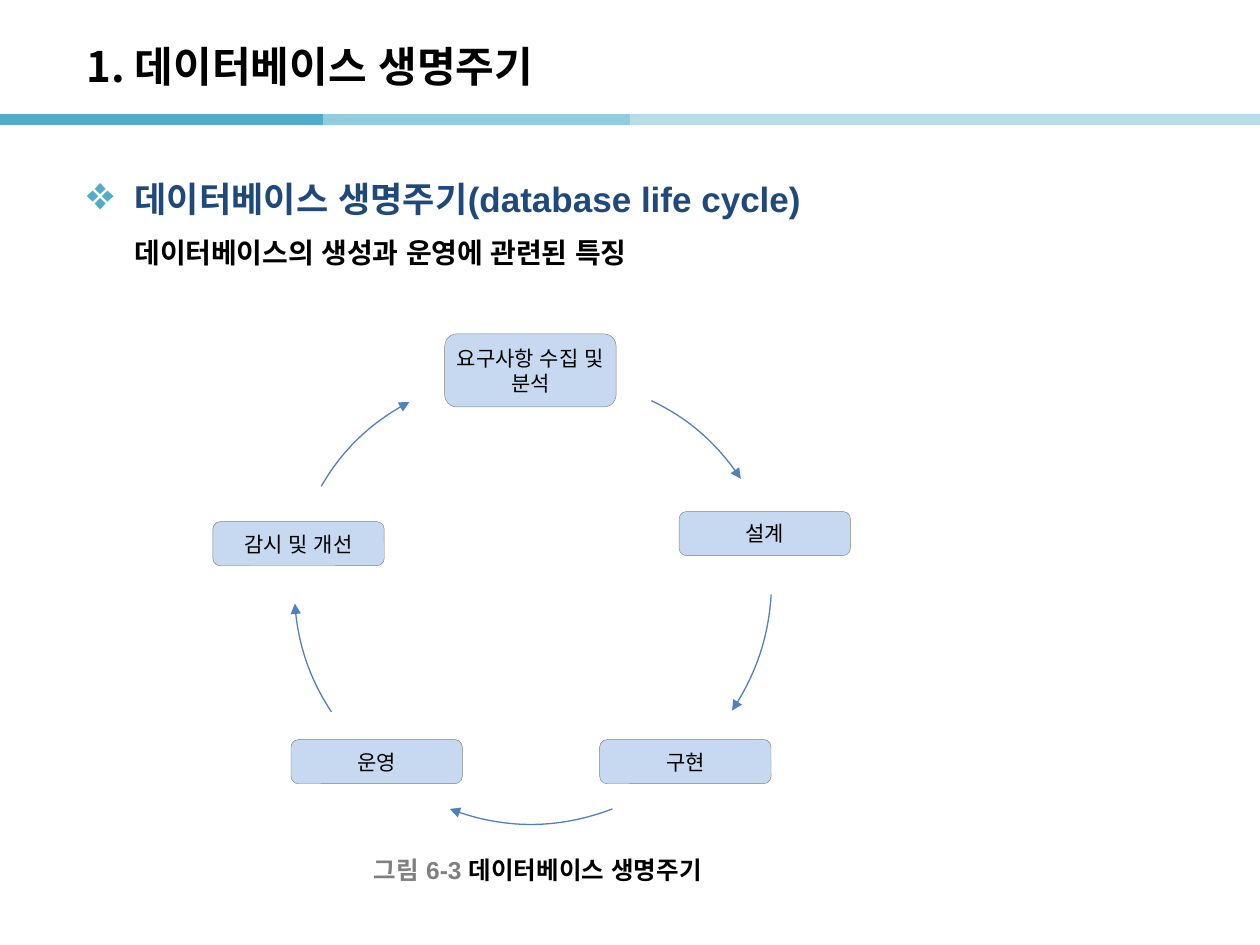
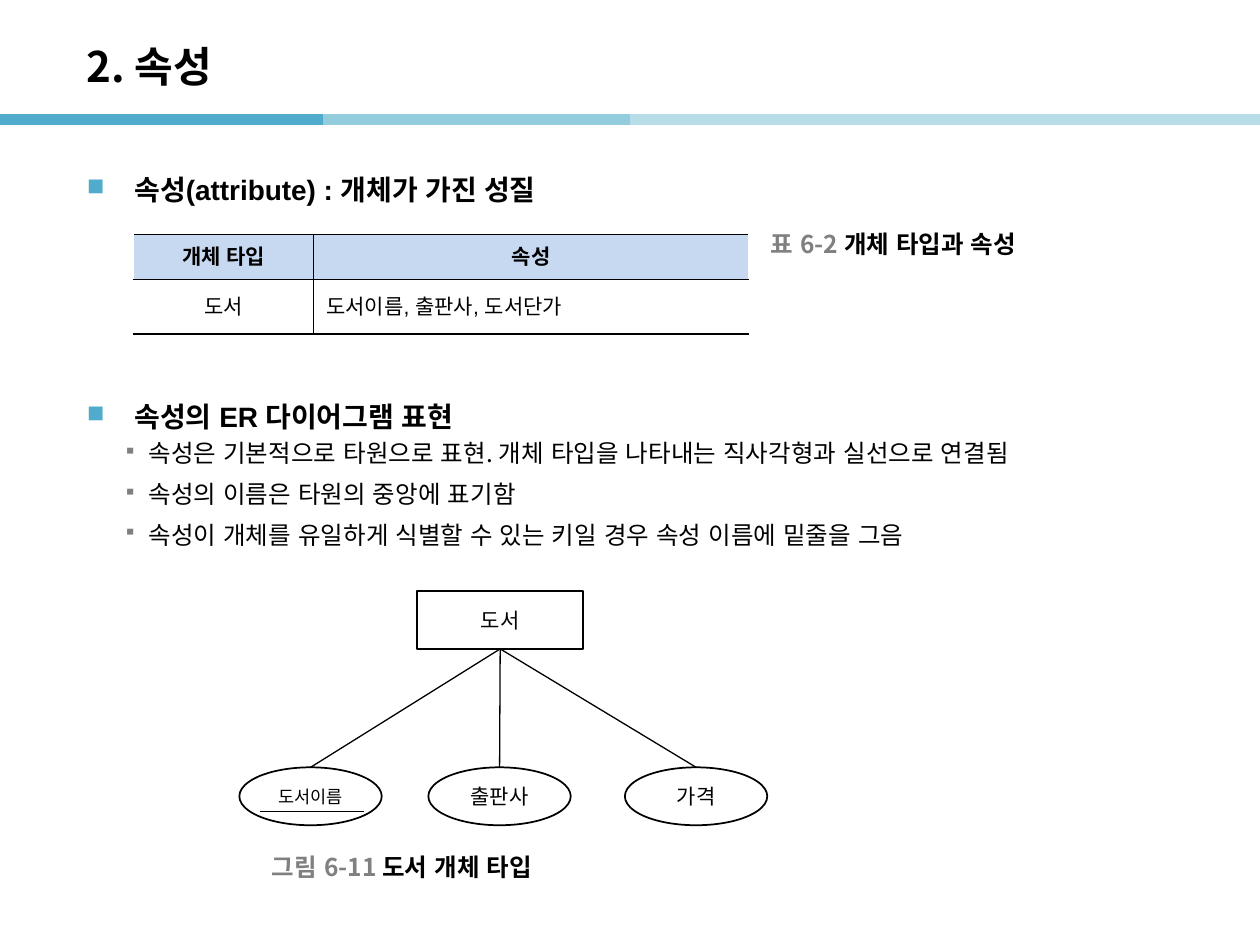
"""Build two slides on the database life cycle and on attributes in ER diagrams."""
from lxml.etree import SubElement
from pptx import Presentation
from pptx.dml.color import RGBColor
from pptx.enum.shapes import MSO_CONNECTOR, MSO_SHAPE
from pptx.enum.text import MSO_ANCHOR, MSO_AUTO_SIZE, PP_ALIGN
from pptx.oxml import parse_xml
from pptx.oxml.ns import nsdecls, qn
from pptx.util import Inches, Pt

COLORS = {
    "text": "000000", "heading": "1F497D", "muted": "808080", "white": "FFFFFF",
    "accent": "50ABCC", "band2": "93CDDD", "band3": "B7DEE8",
    "box": "C6D9F1", "arrow": "4F81BD",
}
SANS, KOREAN = "Arial", "Noto Sans CJK KR"
BULLETS = {"❖": ("accent", 135), "■": ("accent", 85), "▪": ("muted", 75)}

BANDS = [(0, "accent"), (2.56, "band2"), (5, "band3"), (7.46, "band3")]
BAND_Y, BAND_LENGTH = 0.95, 2.56

CYCLE = {
    "title": "1. 데이터베이스 생명주기",
    "body": [("데이터베이스 생명주기(database life cycle)\n", {}),
             ("데이터베이스의 생성과 운영에 관련된 특징", {"size": 16, "color": "text"})],
    "caption": ("그림 6-3 ", "데이터베이스 생명주기"),
    "steps": [("요구사항 수집 및 분석", 3.53, 2.65, 0.58), ("설계", 5.39, 4.06, 0.35),
              ("구현", 4.76, 5.87, 0.35), ("운영", 2.31, 5.87, 0.35),
              ("감시 및 개선", 1.69, 4.14, 0.35)],
    "arrows": [((2.64, 3), [(5.17, 3.18), (5.46, 3.32), (5.7, 3.53), (5.88, 3.8)]),
               ((2.6, 2.88), [(6.12, 4.72), (6.1, 5.05), (5.99, 5.37), (5.81, 5.64)]),
               ((2.45, 3.02), [(4.86, 6.42), (4.44, 6.58), (3.98, 6.58), (3.57, 6.42)]),
               ((2.33, 2.91), [(2.63, 5.65), (2.46, 5.39), (2.36, 5.09), (2.34, 4.79)]),
               ((2.31, 2.99), [(2.55, 3.86), (2.71, 3.58), (2.96, 3.34), (3.25, 3.19)])],
}
STEP_WIDTH, RING = 1.36, 3.52

ATTRIBUTES = {
    "title": "2. 속성",
    "definition": "속성(attribute) : 개체가 가진 성질",
    "table": [["개체 타입", "속성"], ["도서", "도서이름, 출판사, 도서단가"]],
    "table_caption": ("표 6-2 ", "개체 타입과 속성"),
    "notation": "속성의 ER 다이어그램 표현",
    "rules": ["속성은 기본적으로 타원으로 표현. 개체 타입을 나타내는 직사각형과 실선으로 연결됨",
              "속성의 이름은 타원의 중앙에 표기함",
              "속성이 개체를 유일하게 식별할 수 있는 키일 경우 속성 이름에 밑줄을 그음"],
    "entity": "도서",
    "ovals": [("도서이름", 1.9, 10), ("출판사", 3.4, 12), ("가격", 4.96, 12)],
    "caption": ("그림 6-11 ", "도서 개체 타입"),
}
COLUMNS, ROWS = [1.43, 3.45], [0.36, 0.43]


def rgb(name):
    return RGBColor.from_string(COLORS[name])


def write(tf, text, size=12, color="text", font=KOREAN, bold=False, align=PP_ALIGN.LEFT,
          spacing=None, before=0, after=0, bullet=None, indent=(0, 0)):
    """Add a paragraph; text is a string or a list of (text, overrides)."""
    p = tf.paragraphs[0] if not tf.paragraphs[0].runs else tf.add_paragraph()
    p.alignment, p.space_before, p.space_after = align, Pt(before), Pt(after)
    if spacing:
        p.line_spacing = spacing
    if bullet:
        bullet_color, percent = BULLETS[bullet]
        pPr = p._p.get_or_add_pPr()
        pPr.set("marL", str(Inches(indent[0])))
        pPr.set("indent", str(Inches(indent[1])))
        clr = SubElement(pPr, qn("a:buClr"))
        SubElement(clr, qn("a:srgbClr"), val=COLORS[bullet_color])
        SubElement(pPr, qn("a:buSzPct"), val=str(percent * 1000))
        SubElement(pPr, qn("a:buChar"), char=bullet)
    for piece, change in [(text, {})] if isinstance(text, str) else text:
        r = p.add_run()
        r.text = piece.rstrip("\n")
        r.font.size = Pt(change.get("size", size))
        r.font.bold = bold
        r.font.color.rgb = rgb(change.get("color", color))
        r.font.name = font
        SubElement(r._r.get_or_add_rPr(), qn("a:ea"), typeface=SANS)
        if piece.endswith("\n"):
            p.add_line_break()


def add_box(s, x, y, w, h, anchor=MSO_ANCHOR.TOP):
    tf = s.shapes.add_textbox(Inches(x), Inches(y), Inches(w), Inches(h)).text_frame
    tf.word_wrap, tf.vertical_anchor = True, anchor
    return tf


def add_caption(s, x, y, parts, font=KOREAN):
    label, name = parts
    write(add_box(s, x, y, 2.9, 0.31, MSO_ANCHOR.MIDDLE),
          [(label, {"color": "muted"}), (name, {})], size=14, bold=True, font=font)


def add_node(s, kind, x, y, w, h, text, fill="white", line="text", width=1, **fmt):
    sp = s.shapes.add_shape(kind, Inches(x), Inches(y), Inches(w), Inches(h))
    sp.shadow.inherit = False
    sp.fill.solid()
    sp.fill.fore_color.rgb = rgb(fill)
    sp.line.color.rgb, sp.line.width = rgb(line), Pt(width)
    tf = sp.text_frame
    tf.word_wrap, tf.vertical_anchor = True, MSO_ANCHOR.MIDDLE
    tf.margin_left = tf.margin_right = tf.margin_top = tf.margin_bottom = Inches(0.05)
    write(tf, text, align=PP_ALIGN.CENTER, **fmt)
    return sp


def add_line(s, x1, y1, x2, y2, color="text", width=1):
    line = s.shapes.add_connector(MSO_CONNECTOR.STRAIGHT, *map(Inches, (x1, y1, x2, y2)))
    line.line.color.rgb, line.line.width = rgb(color), Pt(width)
    SubElement(line.element.spPr, qn("a:effectLst"))
    return line


def add_curved_arrow(s, corner, controls):
    """Draw one cubic curve inside the square of the ring it belongs to."""
    left, top = map(Inches, corner)
    side = Inches(RING)
    builder = s.shapes.build_freeform(left, top)
    builder.add_line_segments([(left + side, top + side)], close=False)
    sp = builder.convert_to_shape()
    outline = sp.element.find(".//" + qn("a:path"))
    for child in list(outline):
        outline.remove(child)
    start = SubElement(outline, qn("a:moveTo"))
    curve = SubElement(outline, qn("a:cubicBezTo"))
    for parent, (x, y) in zip((start, curve, curve, curve), controls):
        SubElement(parent, qn("a:pt"), x=str(Inches(x) - left), y=str(Inches(y) - top))
    sp.shadow.inherit = False
    sp.fill.background()
    sp.line.color.rgb, sp.line.width = rgb("arrow"), Pt(0.75)
    SubElement(sp.element.spPr.find(qn("a:ln")), qn("a:tailEnd"), type="triangle")


def add_bands(s, layout):
    for x, color in BANDS:
        line = add_line(s, x, BAND_Y, x + BAND_LENGTH, BAND_Y, color, 6)
        layout.shapes.element.append(line.element)


def add_slide(prs, title):
    s = prs.slides.add_slide(prs.slide_layouts[5])
    sp = s.shapes.title
    sp.left, sp.top, sp.width, sp.height = map(Inches, (0.59, 0.22, 8.27, 0.6))
    tf = sp.text_frame
    tf.vertical_anchor, tf.auto_size = MSO_ANCHOR.MIDDLE, MSO_AUTO_SIZE.NONE
    write(tf, title, size=24, bold=True)
    return s


def add_attribute_table(s, rows):
    table = s.shapes.add_table(2, 2, Inches(1.06), Inches(1.86), Inches(sum(COLUMNS)),
                               Inches(sum(ROWS))).table
    table.horz_banding = table.first_row = False
    for column, width in zip(table.columns, COLUMNS):
        column.width = Inches(width)
    for row, height in zip(table.rows, ROWS):
        row.height = Inches(height)
    for i, row in enumerate(rows):
        for j, text in enumerate(row):
            cell = table.cell(i, j)
            cell.vertical_anchor = MSO_ANCHOR.MIDDLE
            cell.fill.solid()
            cell.fill.fore_color.rgb = rgb("white" if i else "box")
            write(cell.text_frame, text, font=SANS, bold=i == 0,
                  align=PP_ALIGN.LEFT if i and j else PP_ALIGN.CENTER)
            sides = ("lnL" if j else "lnR", "lnT", "lnB")
            for k, side in enumerate(sides):
                cell._tc.get_or_add_tcPr().insert(k, parse_xml(
                    f'<a:{side} {nsdecls("a")} w="{Pt(1)}"><a:solidFill>'
                    f'<a:srgbClr val="{COLORS["text"]}"/></a:solidFill></a:{side}>'))


def build_cycle(s):
    write(add_box(s, 0.59, 1.19, 8.82, 1.2), CYCLE["body"], size=20, color="heading",
          font=SANS, bold=True, spacing=1.5, bullet="❖", indent=(0.38, -0.38))
    for (text, x, y, h), (corner, controls) in zip(CYCLE["steps"], CYCLE["arrows"]):
        add_node(s, MSO_SHAPE.ROUNDED_RECTANGLE, x, y, STEP_WIDTH, h, text,
                 fill="box", line="muted", width=0.25)
        add_curved_arrow(s, corner, controls)
    add_caption(s, 2.87, 6.75, CYCLE["caption"], SANS)


def build_attributes(s):
    heading = dict(size=16, font=SANS, bold=True, spacing=1.5, bullet="■",
                   indent=(0.38, -0.38))
    write(add_box(s, 0.59, 1.19, 8.82, 0.6), ATTRIBUTES["definition"], **heading)
    add_attribute_table(s, ATTRIBUTES["table"])
    add_caption(s, 6.02, 1.78, ATTRIBUTES["table_caption"])

    tf = add_box(s, 0.59, 2.99, 8.82, 1.5)
    write(tf, ATTRIBUTES["notation"], **heading)
    for rule in ATTRIBUTES["rules"]:
        write(tf, rule, size=14, before=2.8, after=3.7, align=PP_ALIGN.JUSTIFY,
              bullet="▪", indent=(0.49, -0.2))

    entity = add_node(s, MSO_SHAPE.RECTANGLE, 3.31, 4.69, 1.32, 0.46, ATTRIBUTES["entity"])
    for text, x, size in ATTRIBUTES["ovals"]:
        oval = add_node(s, MSO_SHAPE.OVAL, x, 6.09, 1.13, 0.46, text, size=size)
        link = add_line(s, 3.97, 5.15, x + 0.57, 6.09, width=0.75)
        link.begin_connect(entity, 2)
        link.end_connect(oval, 0)
    add_line(s, 2.06, 6.44, 2.89, 6.44)
    add_caption(s, 2.06, 6.72, ATTRIBUTES["caption"])


def main():
    prs = Presentation()
    prs.slide_width, prs.slide_height = Inches(10), Inches(7.5)
    cycle = add_slide(prs, CYCLE["title"])
    add_bands(cycle, prs.slide_layouts[5])
    build_cycle(cycle)
    build_attributes(add_slide(prs, ATTRIBUTES["title"]))
    prs.save("out.pptx")


if __name__ == "__main__":
    main()
